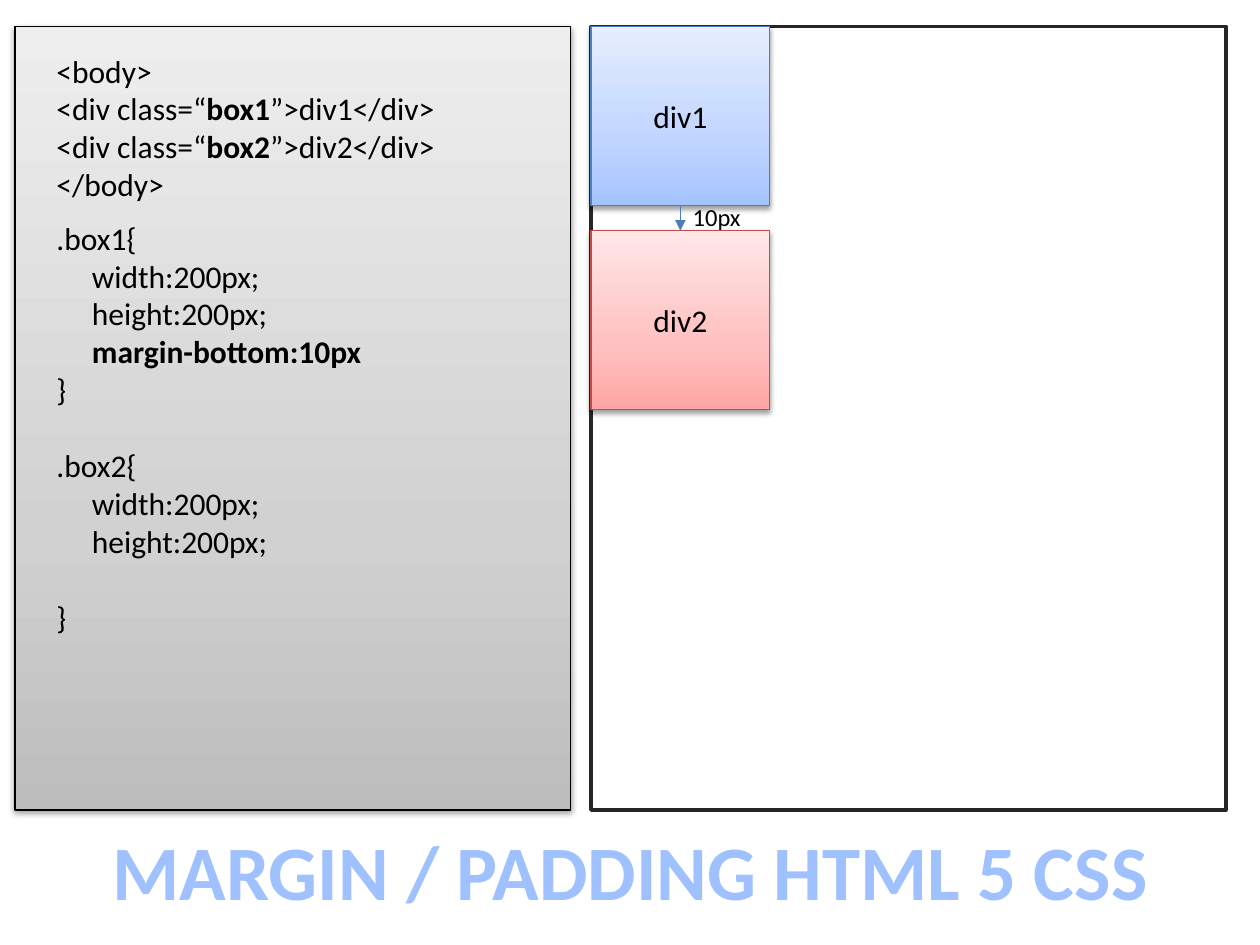
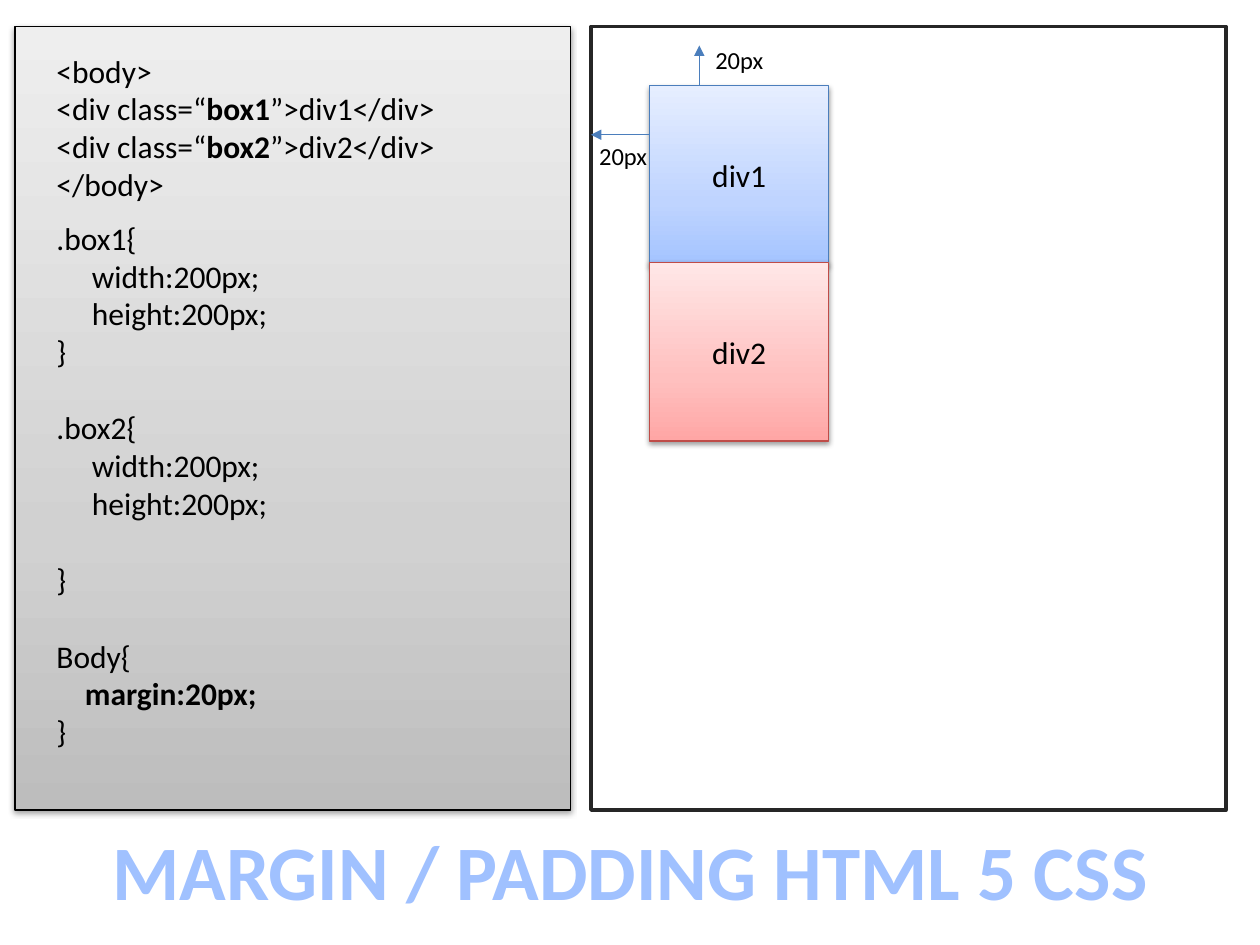
from dataclasses import dataclass

from pptx import Presentation
from pptx.dml.color import RGBColor
from pptx.enum.shapes import MSO_CONNECTOR, MSO_SHAPE
from pptx.enum.text import MSO_ANCHOR, MSO_AUTO_SIZE, PP_ALIGN
from pptx.oxml import parse_xml
from pptx.oxml.ns import nsdecls
from pptx.util import Pt

COLORS = {
    "text": "000000",
    "panel_line": "000000",
    "screen": "FFFFFF",
    "screen_line": "262626",
    "blue_line": "4B7EBC",
    "red_line": "BF4C48",
    "title_line": "467AB8",
}
GRADIENTS = {
    "panel": ((0, "BDBDBD"), (35, "D1D1D1"), (100, "EEEEEE")),
    "blue": ((0, "A4C4FF"), (35, "BFD4FF"), (100, "E6EEFF")),
    "red": ((0, "FFA6A5"), (35, "FFC0BF"), (100, "FFE7E7")),
    "title": ((0, "BFD3F9"), (9, "A0C1FF"), (50, "003D85"),
              (79, "A0C1FF"), (100, "BFD3F9")),
}
FONT = "Calibri"
TITLE = "MARGIN / PADDING HTML 5 CSS"
CODE_SIZE = 18
BLANK_LINE = 22
INDENT = 20.3
BOX_SIZE = 102.2


@dataclass(frozen=True)
class Area:
    left: float
    top: float
    width: float
    height: float

    def lengths(self) -> tuple:
        return Pt(self.left), Pt(self.top), Pt(self.width), Pt(self.height)


@dataclass(frozen=True)
class Line:
    pieces: tuple
    bold_piece: int = -1
    indent: float = 0
    before: float = 0


@dataclass(frozen=True)
class Arrow:
    start: tuple
    end: tuple
    joins_boxes: bool = False


@dataclass(frozen=True)
class Label:
    text: str
    left: float
    top: float


@dataclass(frozen=True)
class Example:
    css: tuple
    css_height: float
    left: float
    top: float
    gap: float
    arrows: tuple
    labels: tuple


PANEL = Area(8.5, 15.1, 317.5, 447.8)
SCREEN = Area(337.7, 15.1, 362.9, 447.8)
TITLE_AREA = Area(54, 467.3, 612.7, 60.5)
HTML_AREA = Area(25.2, 25.9, 283.7, 94.3)

HTML = (
    Line(("<body>",)),
    Line(("<div class=“", "box1", "”>div1</div>"), 1),
    Line(("<div class=“", "box2", "”>div2</div>"), 1),
    Line(("</body>",)),
)
SIZE_RULES = (
    Line(("width:200px;",), indent=INDENT),
    Line(("height:200px;",), indent=INDENT),
)
CLOSE = Line(("}",))
BOX1_START = (Line((".box1{",)), *SIZE_RULES)
BOX2_RULE = (
    Line((".box2{",), before=BLANK_LINE),
    *SIZE_RULES,
    Line(("}",), before=BLANK_LINE),
)

EXAMPLES = (
    Example(
        css=(*BOX1_START, Line(("margin-bottom:10px",), 0, INDENT), CLOSE, *BOX2_RULE),
        css_height=247,
        left=SCREEN.left, top=SCREEN.top, gap=14.5,
        arrows=(Arrow((388.8, 117.3), (388.8, 131.8), True),),
        labels=(Label("10px", 388.3, 111.9),),
    ),
    Example(
        css=(*BOX1_START, CLOSE, *BOX2_RULE,
             Line(("Body{",), before=BLANK_LINE),
             Line(("margin:20px;",), 0, 16.3), CLOSE),
        css_height=312.5,
        left=371.3, top=48.9, gap=-1.2,
        arrows=(Arrow((371.3, 77), (SCREEN.left, 77)),
                Arrow((399.6, 48.9), (399.6, 26))),
        labels=(Label("20px", 401.2, 22.3), Label("20px", 334.8, 77)),
    ),
)


def gradient_xml(name: str, angle: int):
    stops = "".join(
        f'<a:gs pos="{position * 1000}"><a:srgbClr val="{color}"/></a:gs>'
        for position, color in GRADIENTS[name]
    )
    return parse_xml(
        f'<a:gradFill {nsdecls("a")} rotWithShape="1"><a:gsLst>{stops}</a:gsLst>'
        f'<a:lin ang="{angle * 60000}" scaled="0"/></a:gradFill>'
    )


def add_run(paragraph, text: str, size: float, bold: bool = False):
    run = paragraph.add_run()
    run.text = text
    run.font.name = FONT
    run.font.size = Pt(size)
    run.font.bold = bold
    run.font.color.rgb = RGBColor.from_string(COLORS["text"])
    return run


def set_line(shape, color: str, width: float) -> None:
    shape.line.color.rgb = RGBColor.from_string(COLORS[color])
    shape.line.width = Pt(width)


def add_gradient_box(slide, area: Area, gradient: str, line: str):
    box = slide.shapes.add_shape(MSO_SHAPE.RECTANGLE, *area.lengths())
    properties = box._element.spPr
    properties.append(gradient_xml(gradient, 270))
    set_line(box, line, 0.75)
    box.shadow.inherit = False
    properties.effectLst.append(parse_xml(
        f'<a:outerShdw {nsdecls("a")} blurRad="{Pt(3.1)}" dist="{Pt(1.6)}" '
        'dir="5400000" rotWithShape="0"><a:srgbClr val="000000">'
        '<a:alpha val="38000"/></a:srgbClr></a:outerShdw>'
    ))
    return box


def add_div(slide, area: Area, text: str, tint: str):
    div = add_gradient_box(slide, area, tint, f"{tint}_line")
    div.text_frame.vertical_anchor = MSO_ANCHOR.MIDDLE
    paragraph = div.text_frame.paragraphs[0]
    paragraph.alignment = PP_ALIGN.CENTER
    add_run(paragraph, text, CODE_SIZE)
    return div


def add_code(slide, area: Area, lines: tuple) -> None:
    frame = slide.shapes.add_textbox(*area.lengths()).text_frame
    frame.word_wrap = True
    frame.auto_size = MSO_AUTO_SIZE.SHAPE_TO_FIT_TEXT
    for number, line in enumerate(lines):
        paragraph = frame.add_paragraph() if number else frame.paragraphs[0]
        paragraph.space_before = Pt(line.before)
        if line.indent:
            paragraph._p.get_or_add_pPr().set("marL", str(Pt(line.indent)))
        for index, piece in enumerate(line.pieces):
            add_run(paragraph, piece, CODE_SIZE, index == line.bold_piece)


def add_centered_text(slide, area: Area, text: str, size: float, bold: bool = False):
    frame = slide.shapes.add_textbox(*area.lengths()).text_frame
    frame.word_wrap = False
    frame.auto_size = MSO_AUTO_SIZE.SHAPE_TO_FIT_TEXT
    paragraph = frame.paragraphs[0]
    paragraph.alignment = PP_ALIGN.CENTER
    return add_run(paragraph, text, size, bold)


def add_title(slide) -> None:
    run = add_centered_text(slide, TITLE_AREA, TITLE, 44, True)
    properties = run._r.get_or_add_rPr()
    properties.replace(properties[0], gradient_xml("title", 90))
    properties.insert(0, parse_xml(
        f'<a:ln {nsdecls("a")} w="{Pt(0.83)}"><a:solidFill>'
        f'<a:srgbClr val="{COLORS["title_line"]}"/></a:solidFill></a:ln>'
    ))


def add_arrow(slide, arrow: Arrow, upper_div, lower_div) -> None:
    ends = [Pt(value) for value in (*arrow.start, *arrow.end)]
    connector = slide.shapes.add_connector(MSO_CONNECTOR.STRAIGHT, *ends)
    if arrow.joins_boxes:
        connector.begin_connect(upper_div, 2)
        connector.end_connect(lower_div, 0)
    set_line(connector, "blue_line", 0.75)
    properties = connector._element.spPr
    properties.get_or_add_ln().append(
        parse_xml(f'<a:tailEnd {nsdecls("a")} type="triangle"/>'))
    properties.append(parse_xml(f'<a:effectLst {nsdecls("a")}/>'))


def add_screen(slide) -> None:
    screen = slide.shapes.add_shape(MSO_SHAPE.RECTANGLE, *SCREEN.lengths())
    screen.fill.solid()
    screen.fill.fore_color.rgb = RGBColor.from_string(COLORS["screen"])
    set_line(screen, "screen_line", 2)
    screen.shadow.inherit = False


def build_slide(presentation, example: Example) -> None:
    slide = presentation.slides.add_slide(presentation.slide_layouts[6])
    add_gradient_box(slide, PANEL, "panel", "panel_line")
    add_code(slide, HTML_AREA, HTML)
    add_code(slide, Area(25.2, 121.5, 221, example.css_height), example.css)
    add_screen(slide)
    divs = [
        add_div(slide, Area(example.left, example.top + row * (BOX_SIZE + example.gap),
                            BOX_SIZE, BOX_SIZE), text, tint)
        for row, (text, tint) in enumerate((("div1", "blue"), ("div2", "red")))
    ]
    add_title(slide)
    for arrow in example.arrows:
        add_arrow(slide, arrow, *divs)
    for label in example.labels:
        add_centered_text(slide, Area(label.left, label.top, 42.5, 24.2), label.text, 14)


def main() -> None:
    presentation = Presentation()
    presentation.slide_width = Pt(720)
    presentation.slide_height = Pt(540)
    for example in EXAMPLES:
        build_slide(presentation, example)
    presentation.save("out.pptx")


if __name__ == "__main__":
    main()
